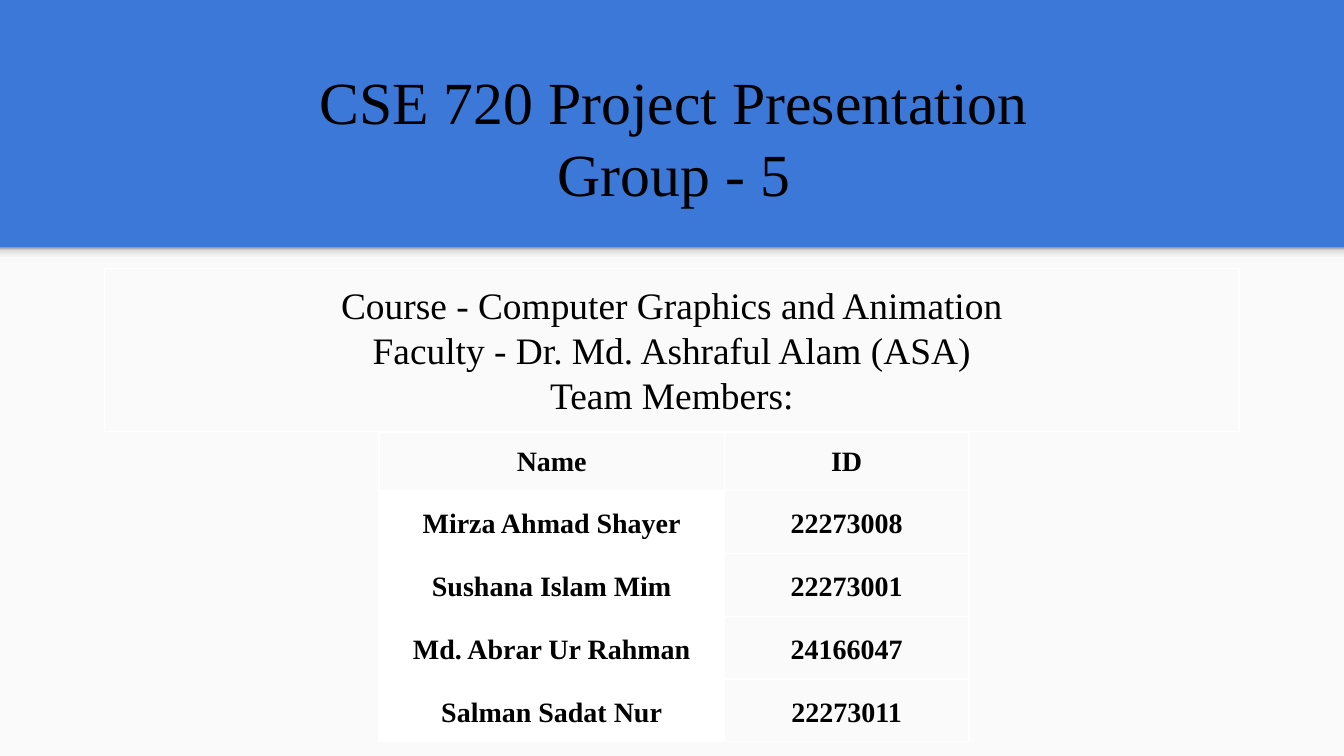
from lxml.etree import SubElement
from pptx import Presentation
from pptx.dml.color import RGBColor
from pptx.enum.shapes import MSO_SHAPE
from pptx.enum.text import MSO_ANCHOR, PP_ALIGN
from pptx.oxml.ns import qn
from pptx.util import Inches, Pt


def color(value):
    return RGBColor.from_string(value)


def write(frame, text, size, anchor, bold=False, spacing=None):
    """Fill a text frame with one centred paragraph; \\v breaks a line."""
    frame.text = text
    frame.word_wrap = True
    frame.vertical_anchor = anchor
    para = frame.paragraphs[0]
    para.alignment = PP_ALIGN.CENTER
    para.line_spacing = spacing
    for span in para.runs:
        span.font.name = "Times New Roman"
        span.font.size = Pt(size)
        span.font.bold = bold
        span.font.color.rgb = color("000000")


deck = Presentation()
deck.slide_width = Inches(10)
deck.slide_height = deck.slide_width * 9 // 16
page = deck.slides.add_slide(deck.slide_layouts[6])
page.background.fill.solid()
page.background.fill.fore_color.rgb = color("3C78D8")

# Light lower panel with a soft shade along its top edge
panel = page.shapes.add_shape(
    MSO_SHAPE.RECTANGLE, 0, Inches(1.84), Inches(10), deck.slide_height - Inches(1.84))
panel.fill.solid()
panel.fill.fore_color.rgb = color("FAFAFA")
shade = page.shapes.add_shape(
    MSO_SHAPE.RECTANGLE, 0, Inches(1.84), Inches(10), Inches(0.12))
shade.fill.gradient()
shade.fill.gradient_angle = 90
stops = shade.element.spPr.find(qn("a:gradFill")).find(qn("a:gsLst"))
for stop in list(stops):
    stops.remove(stop)
for position, tone in [(0, "F9F9F9"), (36, "F9F9F9"), (80, "DEDEDE"), (100, "999999")]:
    stop = SubElement(stops, qn("a:gs"), pos=str(position * 1000))
    SubElement(stop, qn("a:srgbClr"), val=tone)
for shape in (panel, shade):
    shape.line.fill.background()
    shape.shadow.inherit = False

title = page.shapes.add_textbox(Inches(0.52), Inches(0.18), Inches(8.99), Inches(1.47))
write(title.text_frame, "CSE 720 Project Presentation\vGroup - 5", 32, MSO_ANCHOR.BOTTOM)

# Team table
members = [
    ("Name", "ID"),
    ("Mirza Ahmad Shayer", "22273008"),
    ("Sushana Islam Mim", "22273001"),
    ("Md. Abrar Ur Rahman", "24166047"),
    ("Salman Sadat Nur", "22273011"),
]
table = page.shapes.add_table(
    len(members), 2, Inches(2.82), Inches(3.22), Inches(4.39), Inches(2.1)).table
table.first_row = table.horz_banding = False
table.columns[0].width, table.columns[1].width = Inches(2.57), Inches(1.82)
for row, member in enumerate(members):
    table.rows[row].height = Inches(0.42)
    for column, text in enumerate(member):
        cell = table.cell(row, column)
        write(cell.text_frame, text, 15, MSO_ANCHOR.MIDDLE, True, 1.15 if row else None)
        cell.vertical_anchor = MSO_ANCHOR.MIDDLE
        cell.margin_top = cell.margin_bottom = Inches(0.09)
        cell.margin_left = cell.margin_right = Inches(0.03 if row else 0.1)
        properties = cell._tc.get_or_add_tcPr()
        for side in ("lnL", "lnR", "lnT", "lnB"):
            border = SubElement(properties, qn(f"a:{side}"), w=str(Pt(0.75)))
            SubElement(SubElement(border, qn("a:solidFill")), qn("a:srgbClr"), val="FFFFFF")
        if row and column == 0:
            cell.fill.solid()
            cell.fill.fore_color.rgb = color("FFFFFF")
        else:
            cell.fill.background()

course = page.shapes.add_shape(
    MSO_SHAPE.RECTANGLE, Inches(0.78), Inches(2), Inches(8.44), Inches(1.21))
course.fill.background()
course.line.color.rgb = color("FFFFFF")
course.line.width = Pt(0.75)
course.shadow.inherit = False
write(course.text_frame,
      "Course - Computer Graphics and Animation\v"
      "Faculty - Dr. Md. Ashraful Alam (ASA)\vTeam Members:", 20, MSO_ANCHOR.TOP)

for box in (title, course):
    frame = box.text_frame
    frame.margin_left = frame.margin_right = Inches(0.1)
    frame.margin_top = frame.margin_bottom = Inches(0.1)

deck.save("out.pptx")
